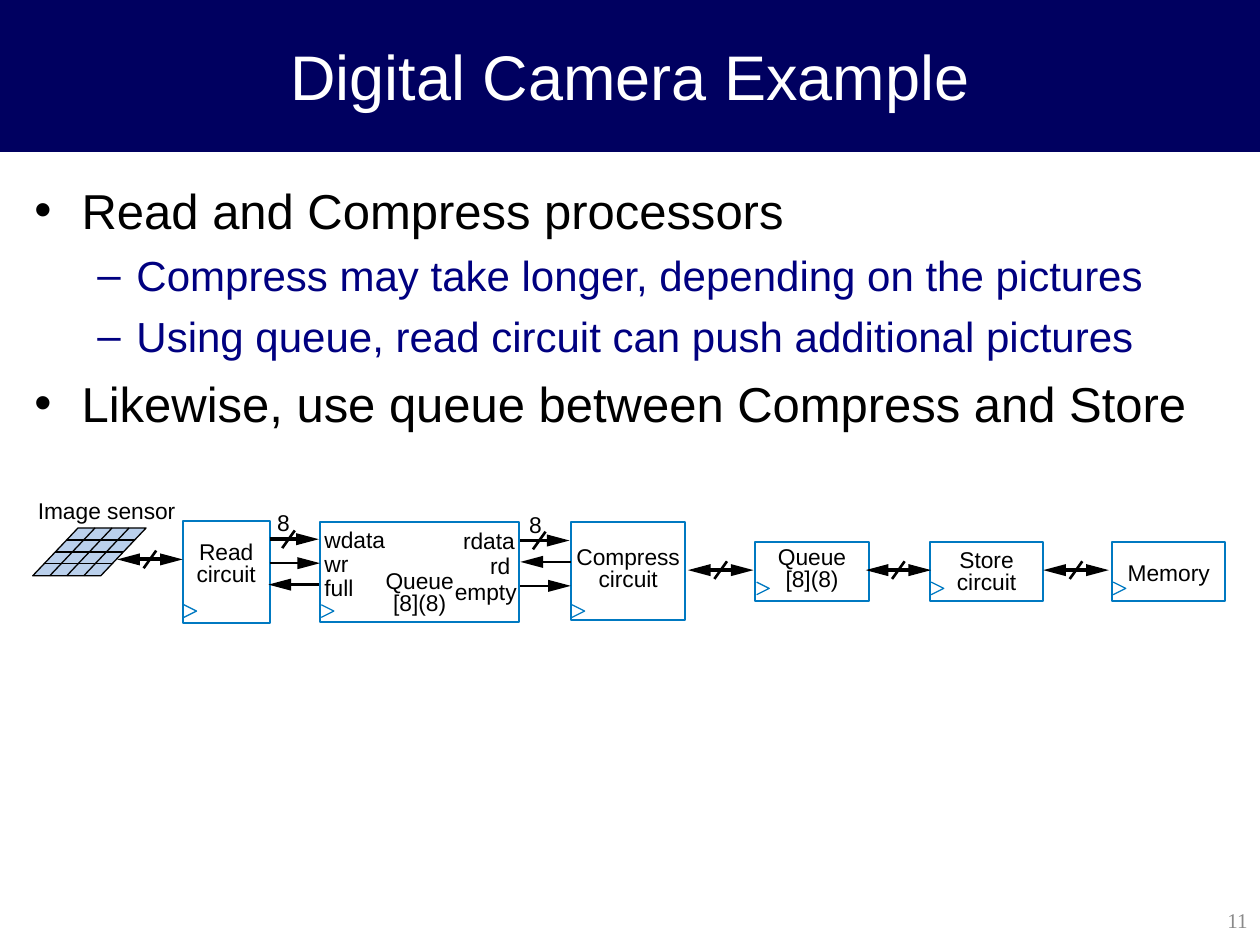
from dataclasses import dataclass
from typing import Optional

from lxml import etree
from pptx import Presentation, util as u
from pptx.dml.color import RGBColor
from pptx.enum import shapes, text
from pptx.oxml.ns import qn

CELL = u.Inches(0.1)  # the slide is a grid of 100 columns by 75 rows
COLUMNS, ROWS = 100, 75


@dataclass(frozen=True)
class Theme:
    sans: str = "Arial"
    serif: str = "Times New Roman"
    banner: str = "000060"
    white: str = "FFFFFF"
    ink: str = "000000"
    detail: str = "000080"
    outline: str = "0079C1"
    sensor: str = "BAD0EC"
    muted: str = "898989"
    title_size: float = 36
    point_size: float = 28
    detail_size: float = 24
    label_size: float = 13
    number_size: float = 12
    caption_pitch: float = 12.5


@dataclass(frozen=True)
class Block:
    """A clocked circuit; caption_drop is the space above its caption."""
    left: float
    top: float
    width: float
    height: float
    caption: tuple[str, ...]
    caption_drop: float
    clock_top: float


@dataclass(frozen=True)
class Wire:
    """A horizontal signal from column start to column end."""
    start: float
    end: float
    row: float
    weight: float = 2.25
    two_way: bool = False
    slash: Optional[float] = None


@dataclass(frozen=True)
class Bullet:
    words: str
    mark: str
    size: float
    color: str
    margin: float
    hang: float
    before: float


THEME = Theme()


def main_point(words: str, before: float = 0) -> Bullet:
    return Bullet(words, "•", THEME.point_size, THEME.ink, 3.8, 3.75, before)


def sub_point(words: str) -> Bullet:
    return Bullet(words, "–", THEME.detail_size, THEME.detail, 8.15, 3.1, 6)


BULLETS = (
    main_point("Read and Compress processors"),
    sub_point("Compress may take longer, depending on the pictures"),
    sub_point("Using queue, read circuit can push additional pictures"),
    main_point("Likewise, use queue between Compress and Store", 7),
)

SMALL = dict(top=43, width=9, height=4.7, clock_top=46.2)
BLOCKS = (
    Block(14.5, 41.35, 6.9, 8.1, ("Read", "circuit"), 1.8, 48),
    Block(25.4, 41.4, 15.8, 8, ("Queue", "[8](8)"), 4.05, 48),
    Block(45.3, 41.4, 9.1, 7.8, ("Compress", "circuit"), 2.1, 48),
    Block(59.95, caption=("Queue", "[8](8)"), caption_drop=0.5, **SMALL),
    Block(73.8, caption=("Store", "circuit"), caption_drop=0.75, **SMALL),
    Block(88.25, caption=("Memory",), caption_drop=1.75, **SMALL),
)

BUS_SPAN = 5.2
BUSES = ((9.3, 44.4), (54.6, 45.25), (68.7, 45.25), (82.8, 45.25))
WIRES = (
    Wire(21.4, 25.3, 42.8, slash=22.9),
    Wire(21.4, 25.4, 44.7, 1.5),
    Wire(25.3, 21.3, 46.4, 1.5),
    Wire(41.3, 45.2, 42.9, slash=42.8),
    Wire(45.3, 41.3, 44.6, 1.5),
    Wire(41.3, 45.3, 46.5, 1.5),
    *(Wire(left, left + BUS_SPAN, row, two_way=True, slash=left + BUS_SPAN / 2)
      for left, row in BUSES),
)

LABELS = (
    (3, 39.4, 11.2, "Image sensor"),
    (22, 40.4, 1.2, "8"), (42, 40.5, 1.2, "8"),
    (25.75, 41.7, 5.2, "wdata"), (25.75, 43.6, 2.2, "wr"), (25.75, 45.5, 2.6, "full"),
    (36.75, 41.8, 4.5, "rdata"), (38.9, 43.8, 1.9, "rd"), (36.1, 45.85, 5.2, "empty"),
)


def grid(*cells: float) -> list[int]:
    return [round(cell * CELL) for cell in cells]


def rgb(color: str) -> RGBColor:
    return RGBColor.from_string(color)


def style(paragraph, size: float, color: str, face: str = THEME.sans) -> None:
    paragraph.font.size = u.Pt(size)
    paragraph.font.name = face
    paragraph.font.color.rgb = rgb(color)


def paint(shape, fill: Optional[str], line: Optional[str], weight: float = 0.75) -> None:
    shape.shadow.inherit = False
    if fill:
        shape.fill.solid()
        shape.fill.fore_color.rgb = rgb(fill)
    else:
        shape.fill.background()
    if line:
        shape.line.color.rgb = rgb(line)
        shape.line.width = u.Pt(weight)
    else:
        shape.line.fill.background()


def add_line(slide, x1: float, y1: float, x2: float, y2: float, weight: float) -> None:
    line = slide.shapes.add_connector(shapes.MSO_CONNECTOR.STRAIGHT, *grid(x1, y1, x2, y2))
    line.line.color.rgb = rgb(THEME.ink)
    line.line.width = u.Pt(weight)
    etree.SubElement(line._element.spPr, qn("a:effectLst"))


def add_outline(slide, points, fill=None, line=None, close=True) -> None:
    corners = [tuple(grid(*point)) for point in points]
    builder = slide.shapes.build_freeform(*corners[0])
    builder.add_line_segments(corners[1:], close=close)
    paint(builder.convert_to_shape(), fill, line)


def add_text(slide, left, top, width, height, words, size, color, face=THEME.sans):
    box = slide.shapes.add_textbox(*grid(left, top, width, height))
    box.text_frame.text = words
    style(box.text_frame.paragraphs[0], size, color, face)
    return box.text_frame


def clear_insets(frame) -> None:
    frame.margin_left = frame.margin_right = frame.margin_top = frame.margin_bottom = 0
    frame.word_wrap = False


def add_title(slide, words: str) -> None:
    banner = slide.shapes.add_shape(shapes.MSO_SHAPE.RECTANGLE, *grid(0, 0, COLUMNS, 12))
    paint(banner, THEME.banner, THEME.banner)
    frame = banner.text_frame
    frame.text = words
    frame.vertical_anchor = text.MSO_ANCHOR.MIDDLE
    frame.paragraphs[0].alignment = text.PP_ALIGN.CENTER
    style(frame.paragraphs[0], THEME.title_size, THEME.white)


def add_bullets(slide, bullets) -> None:
    frame = slide.shapes.add_textbox(*grid(1.7, 13.8, 96.6, 57.2)).text_frame
    frame.word_wrap = True
    for index, bullet in enumerate(bullets):
        paragraph = frame.add_paragraph() if index else frame.paragraphs[0]
        paragraph.text = bullet.words
        paragraph.space_before = u.Pt(bullet.before)
        props = paragraph._p.get_or_add_pPr()
        margin, hang = grid(bullet.margin, bullet.hang)
        props.set("marL", str(margin))
        props.set("indent", str(-hang))
        etree.SubElement(props, qn("a:buFont"), typeface=THEME.sans)
        etree.SubElement(props, qn("a:buChar"), char=bullet.mark)
        style(paragraph, bullet.size, bullet.color)


def add_sensor(slide, left=2.6, top=41.9, width=5.4, height=3.8, slant=3.6, parts=4) -> None:
    """Draw a slanted square of parts by parts pixels."""
    right, bottom = left + width, top + height
    add_outline(slide, ((right, bottom), (left, bottom), (left + slant, top),
                        (right + slant, top)), THEME.sensor, THEME.ink)
    for part in range(1, parts):
        share = part / parts
        x, y = left + share * width, top + share * height
        shift = slant * (1 - share)
        add_line(slide, x, bottom, x + slant, top, 0.75)
        add_line(slide, left + shift, y, right + shift, y, 0.75)


def add_block(slide, block: Block) -> None:
    box = slide.shapes.add_shape(
        shapes.MSO_SHAPE.RECTANGLE, *grid(block.left, block.top, block.width, block.height))
    paint(box, None, THEME.outline, 1.13)
    frame = box.text_frame
    clear_insets(frame)
    frame.margin_top = grid(block.caption_drop)[0]
    frame.vertical_anchor = text.MSO_ANCHOR.TOP
    frame.text = "\n".join(block.caption)
    for paragraph in frame.paragraphs:
        paragraph.alignment = text.PP_ALIGN.CENTER
        paragraph.line_spacing = u.Pt(THEME.caption_pitch)
        style(paragraph, THEME.label_size, THEME.ink)
    x, y = block.left + 0.1, block.clock_top
    add_outline(slide, ((x, y), (x + 1, y + 0.5), (x, y + 1)), line=THEME.outline, close=False)


def add_wire(slide, wire: Wire, head=1.8, half=0.48, overlap=0.3) -> None:
    way = 1 if wire.end > wire.start else -1
    inset = way * (head - overlap)
    shaft_start = wire.start + inset if wire.two_way else wire.start
    add_line(slide, shaft_start, wire.row, wire.end - inset, wire.row, wire.weight)
    tips = [(wire.end, way)] + ([(wire.start, -way)] if wire.two_way else [])
    for tip, side in tips:
        back = tip - side * head
        add_outline(slide, ((back, wire.row + half), (tip, wire.row), (back, wire.row - half)),
                    THEME.ink)
    if wire.slash is not None:
        add_line(slide, wire.slash + 0.5, wire.row - 0.7, wire.slash - 0.5, wire.row + 0.7, 1.5)


def main() -> None:
    deck = Presentation()
    deck.slide_width, deck.slide_height = grid(COLUMNS, ROWS)
    slide = deck.slides.add_slide(deck.slide_layouts[6])
    add_title(slide, "Digital Camera Example")
    add_bullets(slide, BULLETS)
    number = add_text(slide, 78.8, 71, 21.2, 4, "11",
                      THEME.number_size, THEME.muted, THEME.serif)
    number.word_wrap = True
    number.vertical_anchor = text.MSO_ANCHOR.MIDDLE
    number.paragraphs[0].alignment = text.PP_ALIGN.RIGHT
    add_sensor(slide)
    for block in BLOCKS:
        add_block(slide, block)
    for wire in WIRES:
        add_wire(slide, wire)
    for left, top, width, words in LABELS:
        clear_insets(add_text(slide, left, top, width, 2.2, words, THEME.label_size, THEME.ink))
    deck.save("out.pptx")


if __name__ == "__main__":
    main()
